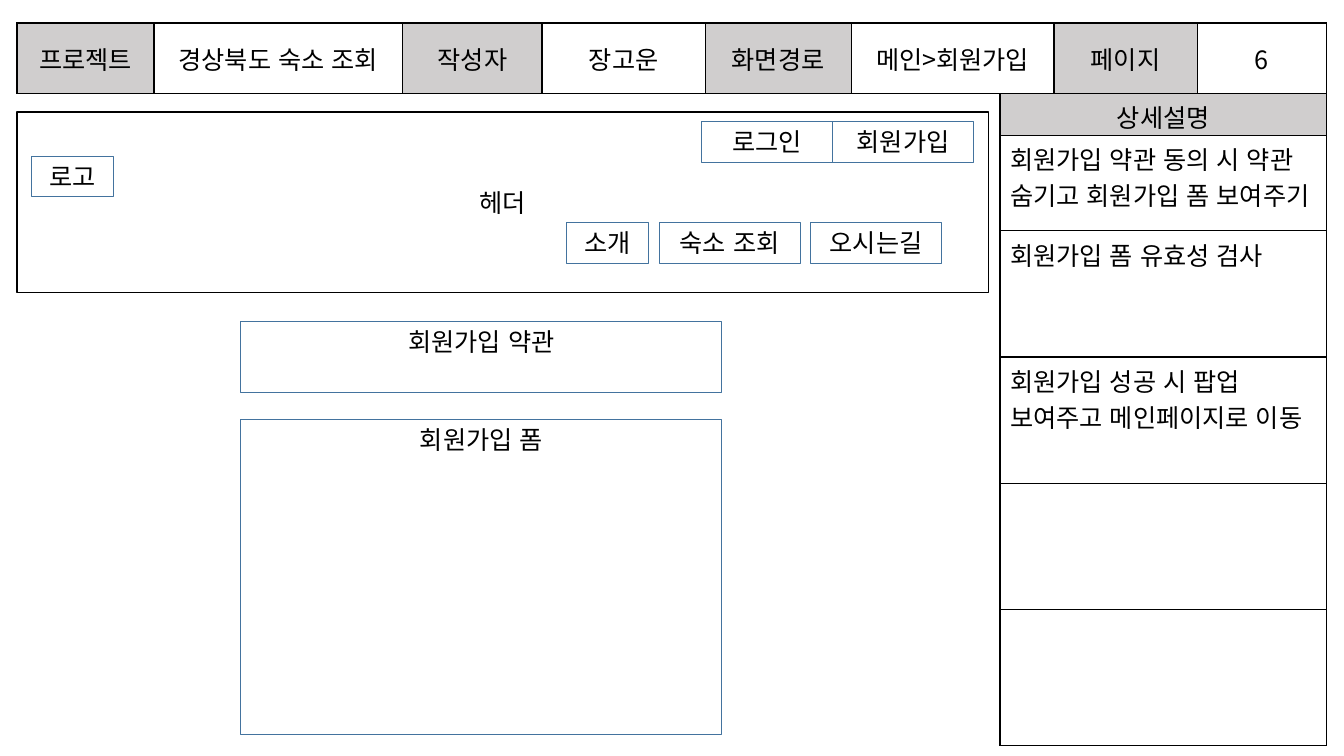
import pptx
import pptx.util
import pptx.dml.color
import pptx.enum.lang
import pptx.enum.shapes
import pptx.enum.text
import pptx.oxml
import pptx.oxml.ns

Cm = pptx.util.Cm
Pt = pptx.util.Pt
RGBColor = pptx.dml.color.RGBColor
ALIGN = pptx.enum.text.PP_ALIGN
ANCHOR = pptx.enum.text.MSO_ANCHOR

BLACK = RGBColor(0x00, 0x00, 0x00)
WHITE = RGBColor(0xFF, 0xFF, 0xFF)
GRAY = RGBColor(0xD0, 0xCE, 0xCE)
BLUE = RGBColor(0x43, 0x73, 0x9E)
FONT = "Noto Sans CJK KR"


def write_text(tf, text, size=18, color=BLACK, align=ALIGN.CENTER):
    p = tf.paragraphs[0]
    p.alignment = align
    r = p.add_run()
    r.text = text
    r.font.size = Pt(size)
    r.font.name = FONT
    r.font.color.rgb = color
    r.font.language_id = pptx.enum.lang.MSO_LANGUAGE_ID.KOREAN
    # East Asian typeface for Hangul
    ea = pptx.oxml.parse_xml(
        f'<a:ea {pptx.oxml.ns.nsdecls("a")} typeface="{FONT}"/>')
    r.font._element.find(pptx.oxml.ns.qn("a:latin")).addnext(ea)


def add_box(s, text, x, y, w, h, line=BLUE, width=0.75, fill=None,
            anchor=ANCHOR.TOP):
    sp = s.shapes.add_shape(pptx.enum.shapes.MSO_SHAPE.RECTANGLE,
                            Cm(x), Cm(y), Cm(w), Cm(h))
    sp.shadow.inherit = False
    if fill is None:
        sp.fill.background()
    else:
        sp.fill.solid()
        sp.fill.fore_color.rgb = fill
    sp.line.color.rgb = line
    sp.line.width = Pt(width)
    tf = sp.text_frame
    tf.word_wrap = True
    tf.vertical_anchor = anchor
    write_text(tf, text)


def add_buttons(s, x, y, items, gap=0.0):
    for text, w in items:
        add_box(s, text, x, y, w, 1.02)
        x += w + gap


def add_grid(s, x, y, cols, rows):
    table = s.shapes.add_table(len(rows), len(cols), Cm(x), Cm(y),
                               Cm(sum(cols)), Cm(sum(rows))).table
    table.first_row = table.horz_banding = False
    for col, w in zip(table.columns, cols):
        col.width = Cm(w)
    for row, h in zip(table.rows, rows):
        row.height = Cm(h)
    return table


def format_cell(cell, text, shaded, align=ALIGN.CENTER, anchor=ANCHOR.TOP):
    # Borders come before the fill in the cell properties
    tcPr = cell._tc.get_or_add_tcPr()
    for side in ("lnL", "lnR", "lnT", "lnB"):
        tcPr.append(pptx.oxml.parse_xml(
            f'<a:{side} {pptx.oxml.ns.nsdecls("a")} w="{Pt(1)}"><a:solidFill>'
            f'<a:srgbClr val="{BLACK}"/></a:solidFill></a:{side}>'))
    if shaded:
        cell.fill.solid()
        cell.fill.fore_color.rgb = GRAY
    else:
        cell.fill.background()
    cell.vertical_anchor = anchor
    if text:
        write_text(cell.text_frame, text, align=align)


def add_info_bar(s, x, y, h):
    fields = [("프로젝트", 3.45), ("경상북도 숙소 조회", 6.27),
              ("작성자", 3.51), ("장고운", 4.11),
              ("화면경로", 3.68), ("메인>회원가입", 5.11),
              ("페이지", 3.61), ("6", 3.25)]
    table = add_grid(s, x, y, [w for _, w in fields], [h])
    for i, (text, _) in enumerate(fields):
        format_cell(table.cell(0, i), text, i % 2 == 0, anchor=ANCHOR.MIDDLE)


def add_description(s, x, y, w):
    rows = [("상세설명", 1.04),
            ("회원가입 약관 동의 시 약관 숨기고 회원가입 폼 보여주기", 2.41),
            ("회원가입 폼 유효성 검사", 3.18),
            ("회원가입 성공 시 팝업 보여주고 메인페이지로 이동", 3.18),
            ("", 3.18), ("", 3.43)]
    table = add_grid(s, x, y, [w], [h for _, h in rows])
    for i, (text, _) in enumerate(rows):
        format_cell(table.cell(i, 0), text, i == 0,
                    align=ALIGN.LEFT if i else ALIGN.CENTER)
    table.cell(0, 0).margin_bottom = 0


def add_header(s, x, y, w, h):
    add_box(s, "헤더", x, y, w, h, line=BLACK, width=1, fill=WHITE,
            anchor=ANCHOR.MIDDLE)
    add_buttons(s, x + 0.36, y + 1.12, [("로고", 2.08)])
    add_buttons(s, x + 17.25, y + 0.25, [("로그인", 3.3), ("회원가입", 3.56)])
    add_buttons(s, x + 13.84, y + 2.79,
                [("소개", 2.08), ("숙소 조회", 3.56), ("오시는길", 3.3)],
                gap=0.26)


def add_signup(s, x, y, w):
    add_box(s, "회원가입 약관", x, y, w, 1.8)
    add_box(s, "회원가입 폼", x, y + 2.47, w, 7.95)


def main():
    prs = pptx.Presentation()
    prs.slide_width, prs.slide_height = Cm(33.87), Cm(19.05)
    s = prs.slides.add_slide(prs.slide_layouts[6])
    add_header(s, 0.43, 2.82, 24.49, 4.55)
    add_info_bar(s, 0.43, 0.58, 1.78)
    add_description(s, 25.2, 2.36, 8.23)
    add_signup(s, 6.07, 8.1, 12.12)
    prs.save("out.pptx")


if __name__ == "__main__":
    main()
